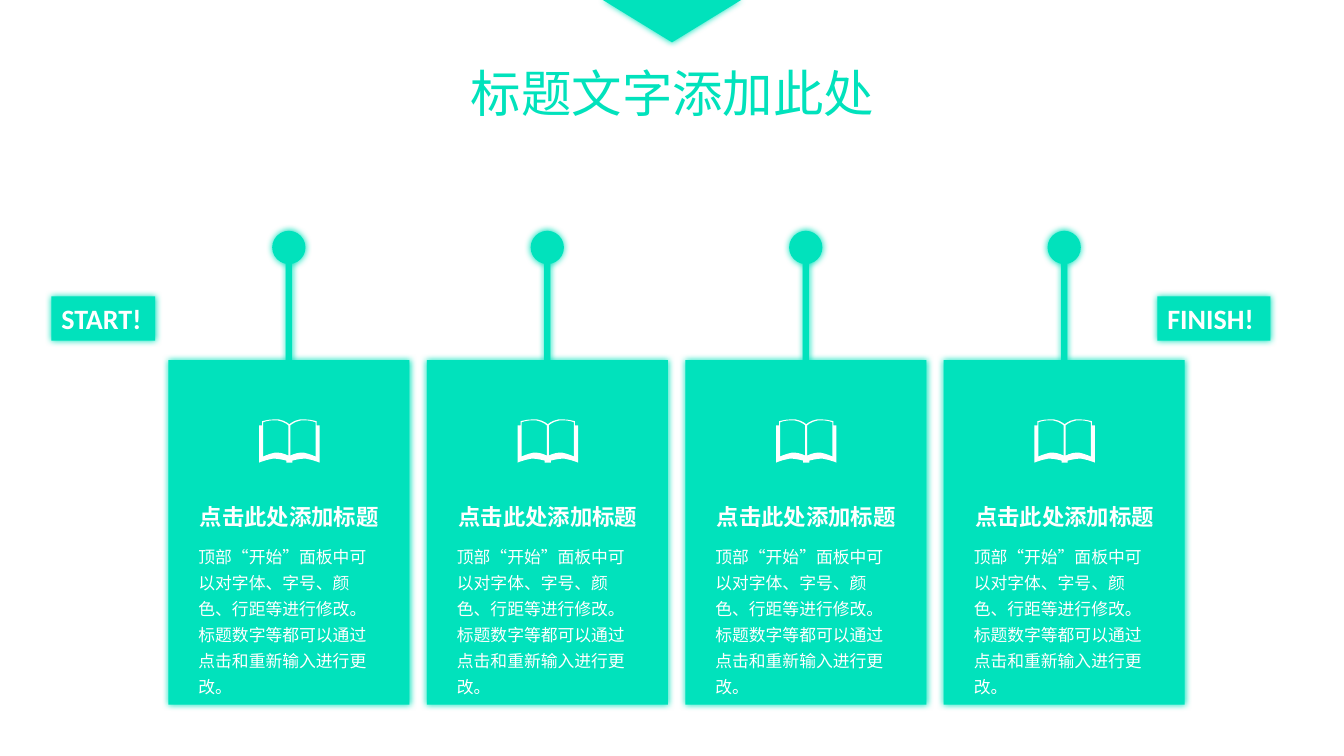
from dataclasses import dataclass

import pptx
import pptx.dml.color
import pptx.enum.shapes
import pptx.enum.text
import pptx.oxml
import pptx.oxml.ns
import pptx.shapes.autoshape
import pptx.util
from pptx.util import Inches

MINT = pptx.dml.color.RGBColor(0x01, 0xE2, 0xBC)
WHITE = pptx.dml.color.RGBColor(0xFF, 0xFF, 0xFF)
FORM = pptx.enum.shapes.MSO_SHAPE
ALIGN = pptx.enum.text.PP_ALIGN
COUNT = 4
PITCH = 7.69 / 3
HEAD = "点击此处添加标题"
BODY = ("顶部“开始”面板中可以对字体、字号、颜色、行距等进行修改。"
        "标题数字等都可以通过点击和重新输入进行更改。")

Point = tuple[float, float]
Curve = list[Point]


@dataclass
class Box:
    left: float
    top: float
    width: float
    height: float

    def lengths(self) -> list[int]:
        return [Inches(n) for n in (self.left, self.top, self.width, self.height)]


@dataclass
class Style:
    size: float
    color: pptx.dml.color.RGBColor = WHITE
    bold: bool = False
    name: str = "Arial"
    align: ALIGN = ALIGN.LEFT
    space: float = 1.0


@dataclass
class Tag:
    box: Box
    text: str


TITLE = Style(36, MINT, align=ALIGN.CENTER)
LABEL = Style(20, bold=True, name="Calibri")
TOPIC = Style(16, bold=True, align=ALIGN.CENTER)
PLAIN = Style(12, space=1.3)
TAGS = [Tag(Box(0.51, 2.94, 1.03, 0.44), "START!"),
        Tag(Box(11.48, 2.94, 1.12, 0.44), "FINISH!")]

# Left half of the book, in hundredths of an inch from the top of its spine.
# Each part holds one point for a line, or three for a Bezier curve.
COVER: list[Curve] = [
    [(0, 5)], [(-1, 4), (-5, 1), (-11, 0)], [(-14, 0)],
    [(-21, 0), (-27, 2), (-27, 2)], [(-27, 6)], [(-30, 6)], [(-30, 43)],
    [(-30, 43), (-23, 40), (-16, 39)], [(-12, 39), (-7, 40), (-3, 41)],
    [(-3, 43)],
]
PAGE: list[Curve] = [
    [(-1, 6)], [(-2, 5), (-6, 2), (-12, 1)], [(-15, 1)],
    [(-19, 1), (-24, 2), (-26, 3)], [(-26, 37)],
    [(-24, 36), (-19, 34), (-14, 33)], [(-12, 33)],
    [(-8, 33), (-3, 35), (-1, 36)],
]


def trace(parts: list[Curve], steps: int = 3) -> Curve:
    """Turn lines and Bezier curves into a run of points."""
    run: Curve = []
    for part in parts:
        if len(part) == 1:
            run += part
            continue
        ends = [run[-1], *part]
        for step in range(1, steps + 1):
            t = step / steps
            mix = ((1 - t) ** 3, 3 * t * (1 - t) ** 2, 3 * t * t * (1 - t), t ** 3)
            run.append((sum(m * p[0] for m, p in zip(mix, ends)),
                        sum(m * p[1] for m, p in zip(mix, ends))))
    return run


def mirror(run: Curve) -> Curve:
    return [(-x, y) for x, y in reversed(run)]


def paint(shape: pptx.shapes.autoshape.Shape,
          color: pptx.dml.color.RGBColor, glow: bool = True) -> None:
    shape.fill.solid()
    shape.fill.fore_color.rgb = color
    shape.line.fill.background()
    shape.shadow.inherit = False
    if glow:
        effect = shape.element.spPr.find(pptx.oxml.ns.qn("a:effectLst"))
        effect.append(pptx.oxml.parse_xml(
            f'<a:outerShdw {pptx.oxml.ns.nsdecls("a")} blurRad="63500" dist="0" '
            f'dir="0" algn="ctr" rotWithShape="0"><a:srgbClr val="{color}"/>'
            '</a:outerShdw>'))


def write(shape: pptx.shapes.autoshape.Shape, text: str, style: Style) -> None:
    frame = shape.text_frame
    frame.text = text
    look = {
        "word_wrap": True,
        "auto_size": pptx.enum.text.MSO_AUTO_SIZE.NONE,
        "vertical_anchor": pptx.enum.text.MSO_ANCHOR.TOP,
        "margin_left": Inches(0.1), "margin_right": Inches(0.1),
        "margin_top": Inches(0.05), "margin_bottom": Inches(0.05),
    }
    for key, value in look.items():
        setattr(frame, key, value)
    line = frame.paragraphs[0]
    line.alignment = style.align
    line.line_spacing = style.space
    # Keep closing marks inside the right margin.
    line._p.get_or_add_pPr().set("hangingPunct", "0")
    font = {"size": pptx.util.Pt(style.size), "bold": style.bold, "name": style.name}
    for key, value in font.items():
        setattr(line.runs[0].font, key, value)
    line.runs[0].font.color.rgb = style.color


def draw(shapes, form: FORM, box: Box) -> pptx.shapes.autoshape.Shape:
    shape = shapes.add_shape(form, *box.lengths())
    paint(shape, MINT)
    return shape


def book(shapes, spine: float, top: float) -> None:
    cover, page = trace(COVER), trace(PAGE)
    loops = [cover + mirror(cover[1:]), page, mirror(page)]
    pen = None
    for loop in loops:
        spots = [(Inches(spine + x / 100), Inches(top + y / 100)) for x, y in loop]
        if pen is None:
            pen = shapes.build_freeform(*spots[0])
        else:
            pen.move_to(*spots[0])
        pen.add_line_segments(spots[1:], close=True)
    paint(pen.convert_to_shape(), WHITE, glow=False)


def card(shapes, left: float) -> None:
    draw(shapes, FORM.OVAL, Box(left + 1.03, 2.29, 0.33, 0.33))
    panel = draw(shapes, FORM.UP_ARROW_CALLOUT, Box(left, 2.29, 2.39, 4.7))
    for spot, value in enumerate((0.026, 0.023, 0.062, 0.727)):
        panel.adjustments[spot] = value
    for top, height, text, style in ((5.31, 1.41, BODY, PLAIN),
                                     (4.94, 0.37, HEAD, TOPIC)):
        box = Box(left + 0.2, top, 2, height)
        write(shapes.add_textbox(*box.lengths()), text, style)
    book(shapes, left + 1.2, 4.16)


def main() -> None:
    deck = pptx.Presentation()
    deck.slide_width, deck.slide_height = Inches(13.33), Inches(7.5)
    slide = deck.slides.add_slide(deck.slide_layouts[5])
    shapes = slide.shapes

    title = shapes.title
    place = Box(4.55, 0.57, 4.24, 0.71).lengths()
    for key, value in zip(("left", "top", "width", "height"), place):
        setattr(title, key, value)
    write(title, "标题文字添加此处", TITLE)

    draw(shapes, FORM.ISOSCELES_TRIANGLE, Box(5.98, 0, 1.37, 0.42)).rotation = 180
    for tag in TAGS:
        write(draw(shapes, FORM.RECTANGLE, tag.box), tag.text, LABEL)
    for spot in range(COUNT):
        card(shapes.add_group_shape().shapes, 1.67 + spot * PITCH)

    deck.save("out.pptx")


if __name__ == "__main__":
    main()
